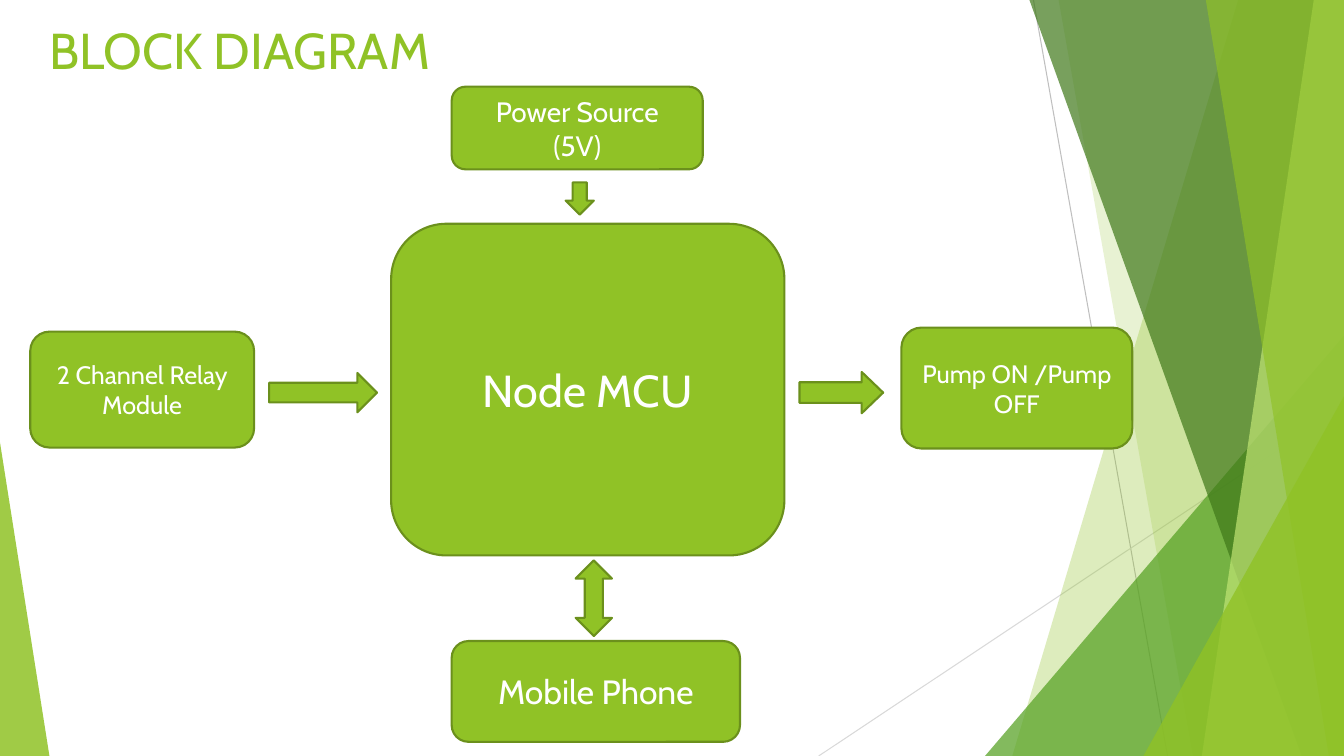
from dataclasses import dataclass
from lxml.etree import SubElement
from pptx import Presentation
from pptx.dml.color import RGBColor
from pptx.enum.shapes import MSO_CONNECTOR, MSO_SHAPE
from pptx.enum.text import MSO_ANCHOR, MSO_AUTO_SIZE, PP_ALIGN
from pptx.oxml.ns import qn
from pptx.util import Inches, Pt


@dataclass(frozen=True)
class Theme:
    font: str = "Cabin"
    green: str = "90C226"
    edge: str = "6B901C"
    leaf: str = "54A021"
    dark: str = "3F7819"
    lime: str = "C0E474"
    white: str = "FFFFFF"
    gray: str = "BFBFBF"
    pale: str = "D9D9D9"
    title: int = 36
    core: int = 32
    large: int = 24
    medium: int = 20
    small: int = 18
    border: float = 1.5
    hair: float = 0.75


class Deck:
    def __init__(self, theme, width, height):
        self.theme = theme
        self.show = Presentation()
        self.show.slide_width = Inches(width)
        self.show.slide_height = Inches(height)
        self.slide = self.show.slides.add_slide(self.show.slide_layouts[5])
        self.shapes = self.slide.shapes

    def style(self, target, values):
        for name, value in values.items():
            setattr(target, name, value)

    def label(self, shape, text, size, color, align, anchor):
        frame = shape.text_frame
        frame.text = text
        self.style(frame, {
            "word_wrap": True,
            "auto_size": MSO_AUTO_SIZE.NONE,
            "vertical_anchor": anchor,
        })
        for line in frame.paragraphs:
            line.alignment = align
            self.style(line.runs[0].font, {"name": self.theme.font, "size": Pt(size)})
            line.runs[0].font.color.rgb = RGBColor.from_string(color)

    def title(self, text, *box):
        shape = self.shapes.title
        self.style(shape, dict(zip(("left", "top", "width", "height"), map(Inches, box))))
        self.label(shape, text, self.theme.title, self.theme.green,
                   PP_ALIGN.LEFT, MSO_ANCHOR.TOP)

    def line(self, color, *ends):
        link = self.shapes.add_connector(MSO_CONNECTOR.STRAIGHT, *map(Inches, ends))
        link.line.color.rgb = RGBColor.from_string(color)
        link.line.width = Pt(self.theme.hair)
        SubElement(link.element.spPr, qn("a:effectLst"))

    def tint(self, shape, color, alpha):
        shape.shadow.inherit = False
        shape.fill.solid()
        shape.fill.fore_color.rgb = RGBColor.from_string(color)
        shape.line.fill.background()
        tone = shape.element.spPr.find(qn("a:solidFill"))[0]
        SubElement(tone, qn("a:alpha")).set("val", str(alpha * 1000))

    def facet(self, color, alpha, points):
        first, *rest = [tuple(map(Inches, point)) for point in points]
        outline = self.shapes.build_freeform(*first)
        outline.add_line_segments(rest, close=True)
        self.tint(outline.convert_to_shape(), color, alpha)

    def wedge(self, color, alpha, tip, *box):
        shape = self.shapes.add_shape(MSO_SHAPE.ISOSCELES_TRIANGLE, *map(Inches, box))
        shape.adjustments[0] = tip
        self.tint(shape, color, alpha)

    def solid(self, kind, *box):
        shape = self.shapes.add_shape(kind, *map(Inches, box))
        shape.shadow.inherit = False
        shape.fill.solid()
        shape.fill.fore_color.rgb = RGBColor.from_string(self.theme.green)
        shape.line.color.rgb = RGBColor.from_string(self.theme.edge)
        shape.line.width = Pt(self.theme.border)
        return shape

    def block(self, text, size, *box):
        shape = self.solid(MSO_SHAPE.ROUNDED_RECTANGLE, *box)
        self.label(shape, text, size, self.theme.white,
                   PP_ALIGN.CENTER, MSO_ANCHOR.MIDDLE)


def main():
    theme = Theme()
    wide, high = 13.33, 7.5
    deck = Deck(theme, wide, high)

    deck.title("BLOCK DIAGRAM", 0.39, 0.14, 9.4, 1.44)

    deck.line(theme.gray, 10.25, 0, 11.58, high)
    deck.line(theme.pale, wide, 4.03, 8.12, high)

    def band(color, alpha, top, base):
        deck.facet(color, alpha, [(top, 0), (wide, 0), (wide, high), (base, high)])

    def corner(color, alpha, left, top):
        deck.wedge(color, alpha, 1, left, top, wide - left, high - top)

    band(theme.green, 30, 12.28, 10.04)
    band(theme.green, 20, 10.5, 11.83)
    corner(theme.leaf, 72, 9.77, 3.33)
    band(theme.dark, 70, 10.21, 12.91)
    band(theme.lime, 70, 13.03, 11.92)
    band(theme.green, 65, 11.96, 13.18)
    corner(theme.green, 80, 11.34, 3.93)
    deck.wedge(theme.green, 85, 0, 0, 4.39, 0.49, 3.11)

    deck.block("Node MCU", theme.core, 3.88, 2.22, 3.9, 3.29)
    deck.block("2 Channel Relay Module", theme.small, 0.3, 3.29, 2.22, 1.15)
    deck.block("Pump ON /Pump OFF", theme.small, 8.94, 3.25, 2.29, 1.2)
    deck.block("Power Source\n(5V)", theme.medium, 4.48, 0.86, 2.49, 0.82)
    deck.block("Mobile Phone", theme.large, 4.48, 6.36, 2.86, 1)

    deck.solid(MSO_SHAPE.RIGHT_ARROW, 2.67, 3.7, 1.07, 0.39)
    deck.solid(MSO_SHAPE.RIGHT_ARROW, 7.93, 3.69, 0.83, 0.41).adjustments[1] = 0.52
    deck.solid(MSO_SHAPE.DOWN_ARROW, 5.61, 1.81, 0.28, 0.32)
    deck.solid(MSO_SHAPE.UP_DOWN_ARROW, 5.71, 5.56, 0.36, 0.75)

    deck.show.save("out.pptx")


if __name__ == "__main__":
    main()
